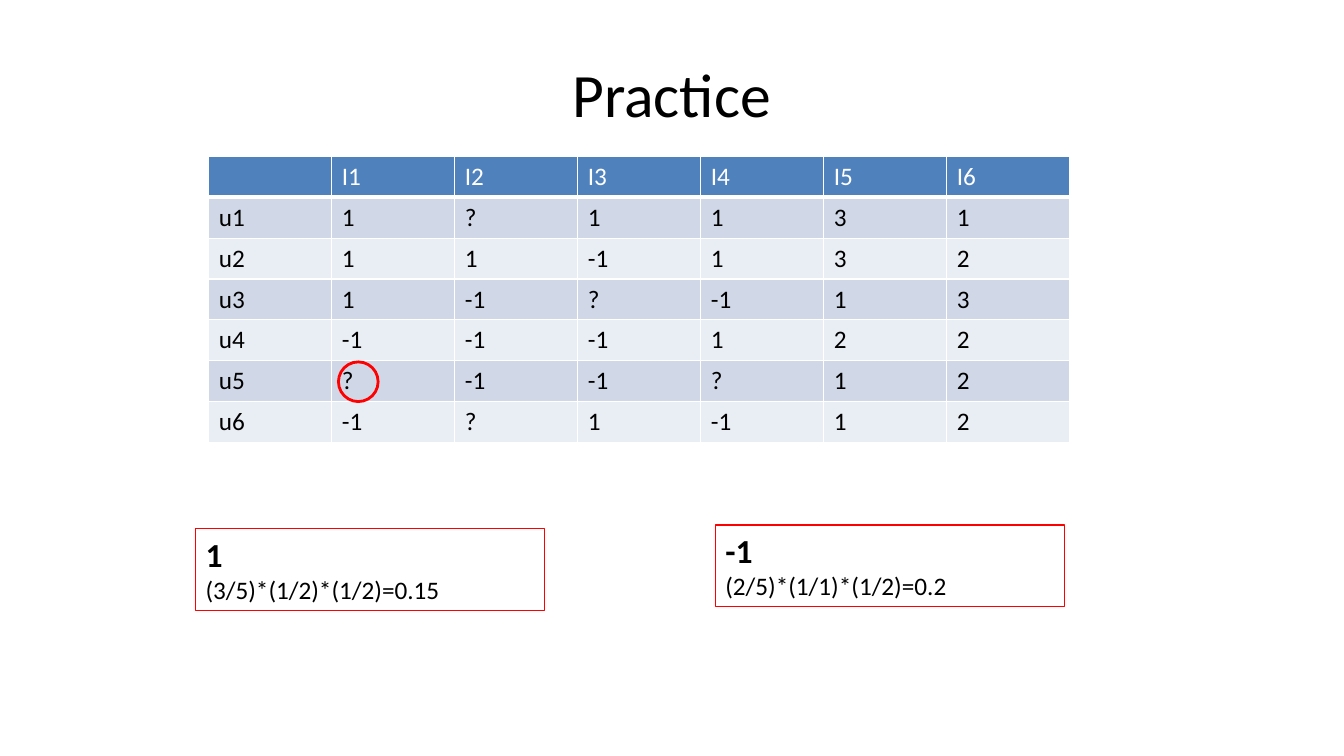
from lxml.etree import SubElement
from pptx import Presentation
from pptx.dml.color import RGBColor
from pptx.enum.shapes import MSO_SHAPE
from pptx.enum.text import MSO_ANCHOR, MSO_AUTO_SIZE, PP_ALIGN
from pptx.oxml.ns import qn
from pptx.util import Cm, Pt

FONT = "Calibri"
BLACK, WHITE, RED = "000000", "FFFFFF", "FF0000"
HEADER_BLUE, ODD_BAND, EVEN_BAND = "4F81BD", "D0D8E8", "E9EDF4"

RATINGS = [
    ["", "I1", "I2", "I3", "I4", "I5", "I6"],
    ["u1", "1", "?", "1", "1", "3", "1"],
    ["u2", "1", "1", "-1", "1", "3", "2"],
    ["u3", "1", "-1", "?", "-1", "1", "3"],
    ["u4", "-1", "-1", "-1", "1", "2", "2"],
    ["u5", "?", "-1", "-1", "?", "1", "2"],
    ["u6", "-1", "?", "1", "-1", "1", "2"],
]


def rgb(color):
    return RGBColor.from_string(color)


def style_paragraph(paragraph, size, color=BLACK, bold=False):
    for run in paragraph.runs:
        run.font.name = FONT
        run.font.size = Pt(size)
        run.font.bold = bold
        run.font.color.rgb = rgb(color)


def add_title(slide, wording):
    title = slide.shapes.add_textbox(Cm(1.69), Cm(0.76), Cm(30.48), Cm(3.18))
    frame = title.text_frame
    frame.word_wrap = True
    frame.vertical_anchor = MSO_ANCHOR.MIDDLE
    frame.text = wording
    frame.paragraphs[0].alignment = PP_ALIGN.CENTER
    style_paragraph(frame.paragraphs[0], 44)


def add_borders(cell, bottom_width):
    properties = cell._tc.get_or_add_tcPr()
    for side, width in (("L", 1), ("R", 1), ("T", 1), ("B", bottom_width)):
        border = SubElement(properties, qn(f"a:ln{side}"), w=str(Pt(width)))
        fill = SubElement(border, qn("a:solidFill"))
        SubElement(fill, qn("a:srgbClr"), val=WHITE)


def add_ratings_table(slide, ratings):
    row_count, column_count = len(ratings), len(ratings[0])
    column_width, row_height = Cm(3.1), Cm(1.03)
    table = slide.shapes.add_table(
        row_count, column_count, Cm(5.26), Cm(3.94),
        column_width * column_count, row_height * row_count).table
    for column in table.columns:
        column.width = column_width
    for i, ratings_row in enumerate(ratings):
        table.rows[i].height = row_height
        is_header = i == 0
        band = HEADER_BLUE if is_header else ODD_BAND if i % 2 else EVEN_BAND
        for j, rating in enumerate(ratings_row):
            cell = table.cell(i, j)
            add_borders(cell, 3 if is_header else 1)
            cell.fill.solid()
            cell.fill.fore_color.rgb = rgb(band)
            cell.text = rating
            style_paragraph(cell.text_frame.paragraphs[0], 18,
                            WHITE if is_header else BLACK)


def add_red_outline(slide, kind, left, top, width, height, line_width):
    outline = slide.shapes.add_shape(
        kind, Cm(left), Cm(top), Cm(width), Cm(height))
    outline.shadow.inherit = False
    outline.fill.background()
    outline.line.color.rgb = rgb(RED)
    outline.line.width = Pt(line_width)
    return outline


def add_score_box(slide, left, top, rating, calculation):
    box = add_red_outline(slide, MSO_SHAPE.RECTANGLE, left, top, 8.8, 2.05, 0.75)
    frame = box.text_frame
    frame.word_wrap = True
    frame.auto_size = MSO_AUTO_SIZE.SHAPE_TO_FIT_TEXT
    frame.vertical_anchor = MSO_ANCHOR.TOP
    frame.text = f"{rating}\n{calculation}"
    heading, formula = frame.paragraphs
    style_paragraph(heading, 24, bold=True)
    style_paragraph(formula, 18)
    for paragraph in frame.paragraphs:
        paragraph.alignment = PP_ALIGN.LEFT


def main():
    presentation = Presentation()
    presentation.slide_width = Cm(33.87)
    presentation.slide_height = Cm(19.05)
    slide = presentation.slides.add_slide(presentation.slide_layouts[6])

    # Title and ratings
    add_title(slide, "Practice")
    add_ratings_table(slide, RATINGS)

    # Ring around the rating to predict
    add_red_outline(slide, MSO_SHAPE.OVAL, 8.53, 9.12, 1, 1, 2)

    # Score of each candidate rating
    add_score_box(slide, 4.93, 13.33, "1", "(3/5)*(1/2)*(1/2)=0.15")
    add_score_box(slide, 18.03, 13.23, "-1", "(2/5)*(1/1)*(1/2)=0.2")

    presentation.save("out.pptx")


if __name__ == "__main__":
    main()
